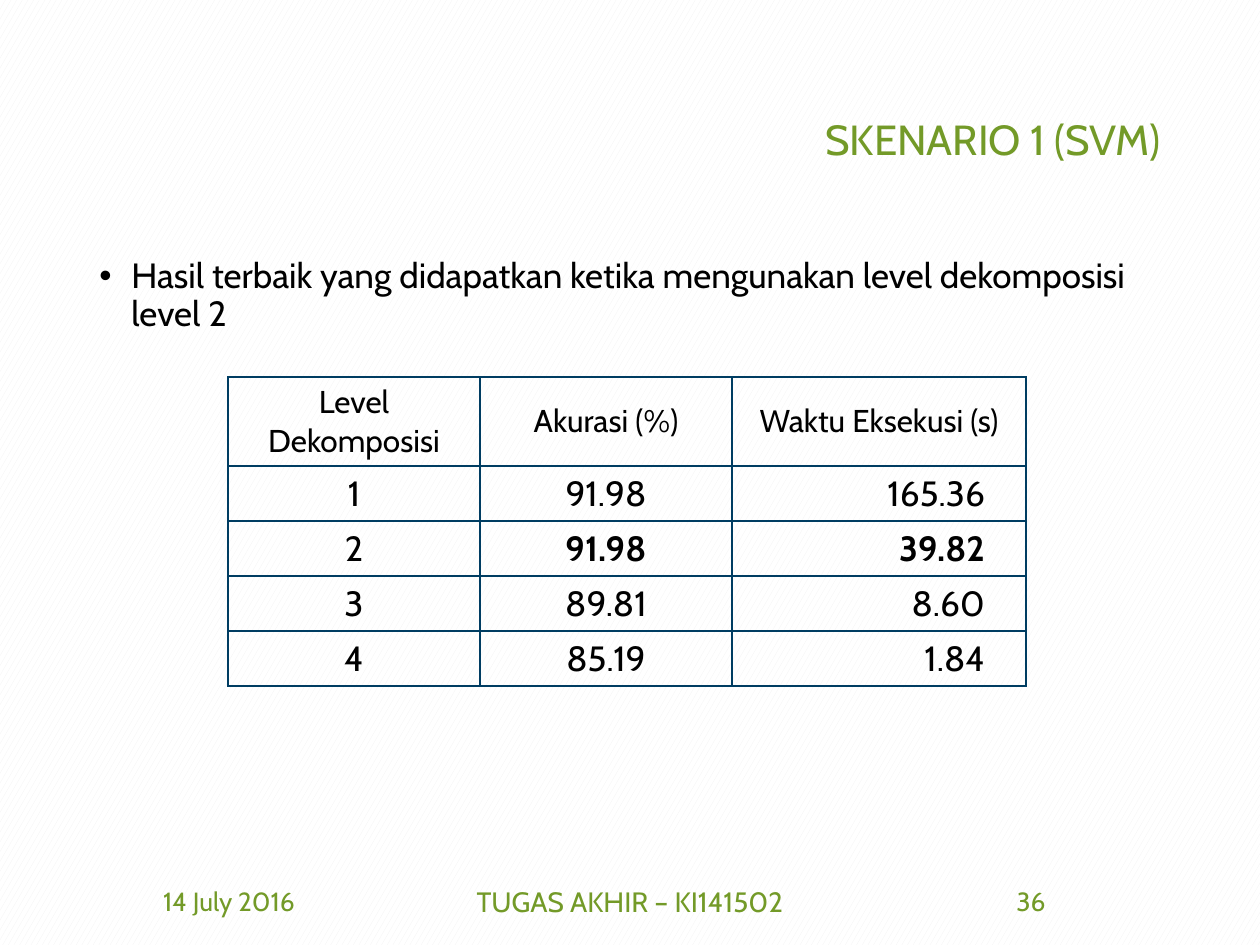
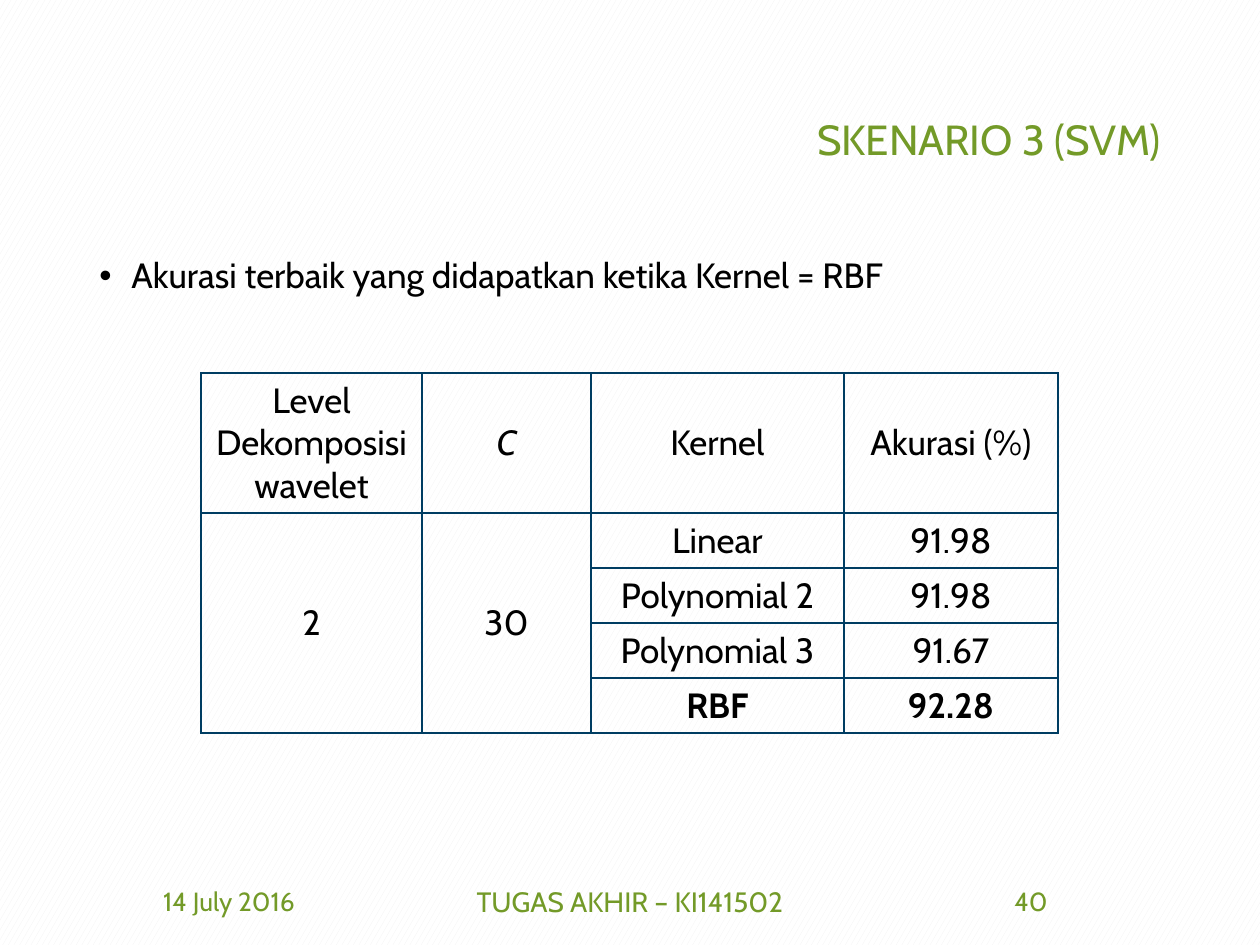
from dataclasses import dataclass

from lxml.etree import SubElement
from pptx import Presentation
from pptx.dml.color import RGBColor as Color
from pptx.enum.dml import MSO_PATTERN as Pattern
from pptx.enum.text import MSO_ANCHOR as Anchor, PP_ALIGN as Align
from pptx.oxml.ns import qn
from pptx.util import Emu, Pt

PX = 914400 / 126


@dataclass(frozen=True)
class Theme:
    font: str = "Cabin"
    green: str = "739A28"
    black: str = "000000"
    navy: str = "003D62"
    paper: str = "FFFFFF"
    hatch: str = "F2F2F2"
    title: int = 24
    body: int = 20
    header: int = 18
    footer: int = 16
    small: int = 15


theme = Theme()


def px(*lengths):
    return [Emu(round(length * PX)) for length in lengths]


def write(frame, text, size, color, align=Align.CENTER, bullet=False, spacing=None, **style):
    frame.word_wrap = True
    para = frame.paragraphs[0]
    if bullet:
        props = para._p.get_or_add_pPr()
        indent = px(32)[0]
        props.set("marL", str(indent))
        props.set("indent", str(-indent))
        SubElement(props, qn("a:buFont"), typeface="Arial")
        SubElement(props, qn("a:buChar"), char="•")
    para.alignment = align
    if spacing:
        para.line_spacing = spacing
    span = para.add_run()
    span.text = text
    formats = {"name": theme.font, "size": Pt(size), **style}
    for key, value in formats.items():
        setattr(span.font, key, value)
    span.font.color.rgb = Color.from_string(color)


# Content; None marks a cell covered by the merged cell above it
scenarios = [
    {
        "title": "SKENARIO 1 (SVM)",
        "finding": "Hasil terbaik yang didapatkan ketika mengunakan level dekomposisi level 2",
        "number": "36",
        "place": (228, 377),
        "columns": (252, 252, 294),
        "header_height": 89,
        "header_size": theme.header,
        "rows": [
            ("Level Dekomposisi", "Akurasi (%)", "Waktu Eksekusi (s)"),
            ("1", "91.98", "165.36"),
            ("2", "91.98", "39.82"),
            ("3", "89.81", "8.60"),
            ("4", "85.19", "1.84"),
        ],
        "bold": {(2, 1), (2, 2)},
        "italic": set(),
        "right_column": 2,
        "merged_columns": (),
    },
    {
        "title": "SKENARIO 3 (SVM)",
        "finding": "Akurasi terbaik yang didapatkan ketika Kernel = RBF",
        "number": "40",
        "place": (201, 373),
        "columns": (221, 169, 253, 214),
        "header_height": 140,
        "header_size": theme.body,
        "rows": [
            ("Level Dekomposisi wavelet", "C", "Kernel", "Akurasi (%)"),
            ("2", "30", "Linear", "91.98"),
            (None, None, "Polynomial 2", "91.98"),
            (None, None, "Polynomial 3", "91.67"),
            (None, None, "RBF", "92.28"),
        ],
        "bold": {(4, 2), (4, 3)},
        "italic": {(0, 1)},
        "right_column": None,
        "merged_columns": (0, 1),
    },
]
ROW_HEIGHT = 55
NUMBER_INSET = 41

deck = Presentation()
deck.slide_width, deck.slide_height = px(1260, 945)

for scenario in scenarios:
    page = deck.slides.add_slide(deck.slide_layouts[6])

    # Background
    fill = page.background.fill
    fill.patterned()
    fill.pattern = Pattern.LARGE_CONFETTI
    fill.fore_color.rgb = Color.from_string(theme.hatch)
    fill.back_color.rgb = Color.from_string(theme.paper)

    # Title, finding and footers
    texts = [
        ((87, 50, 1086, 183), Anchor.MIDDLE, scenario["title"], theme.title, theme.green,
         {"align": Align.RIGHT, "spacing": 0.9}),
        ((87, 252, 1086, 600), Anchor.TOP, scenario["finding"], theme.body, theme.black,
         {"align": Align.LEFT, "bullet": True, "spacing": 0.9}),
        ((87, 876, 284, 50), Anchor.MIDDLE, "14 July 2016", theme.small, theme.green, {}),
        ((417, 876, 426, 50), Anchor.MIDDLE, "TUGAS AKHIR – KI141502", theme.footer, theme.green, {}),
        ((889, 876, 284, 50), Anchor.MIDDLE, scenario["number"], theme.small, theme.green, {}),
    ]
    for bounds, anchor, text, size, color, layout in texts:
        box = page.shapes.add_textbox(*px(*bounds))
        box.text_frame.vertical_anchor = anchor
        write(box.text_frame, text, size, color, **layout)

    # Table grid
    rows, columns = scenario["rows"], scenario["columns"]
    heights = [scenario["header_height"]] + [ROW_HEIGHT] * (len(rows) - 1)
    bounds = px(*scenario["place"], sum(columns), sum(heights))
    table = page.shapes.add_table(len(rows), len(columns), *bounds).table
    table.first_row = table.horz_banding = False
    for column, width in zip(table.columns, px(*columns)):
        column.width = width
    for row, height in zip(table.rows, px(*heights)):
        row.height = height
    for c in scenario["merged_columns"]:
        table.cell(1, c).merge(table.cell(len(rows) - 1, c))

    # Table cells
    for r, row in enumerate(rows):
        for c, text in enumerate(row):
            cell = table.cell(r, c)
            cell.vertical_anchor = Anchor.MIDDLE
            props = cell._tc.get_or_add_tcPr()
            for side in ("lnL", "lnR", "lnT", "lnB"):
                line = SubElement(props, qn(f"a:{side}"), w=str(Pt(1)))
                solid = SubElement(line, qn("a:solidFill"))
                SubElement(solid, qn("a:srgbClr"), val=theme.navy)
            cell.fill.background()
            if text is None:
                continue
            size = scenario["header_size"] if r == 0 else theme.body
            align = Align.CENTER
            if r > 0 and c == scenario["right_column"]:
                align = Align.RIGHT
                cell.margin_right = px(NUMBER_INSET)[0]
            write(cell.text_frame, text, size, theme.black, align,
                  bold=(r, c) in scenario["bold"], italic=(r, c) in scenario["italic"])

deck.save("out.pptx")
